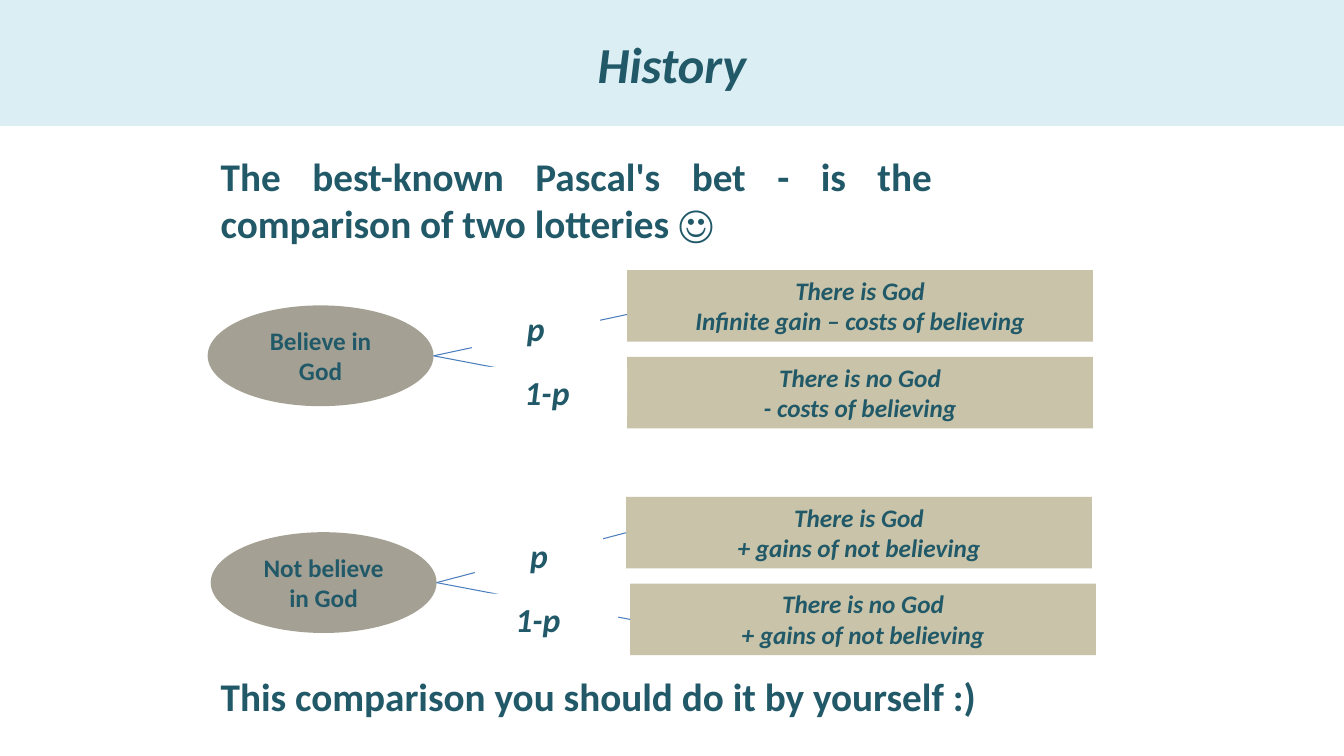
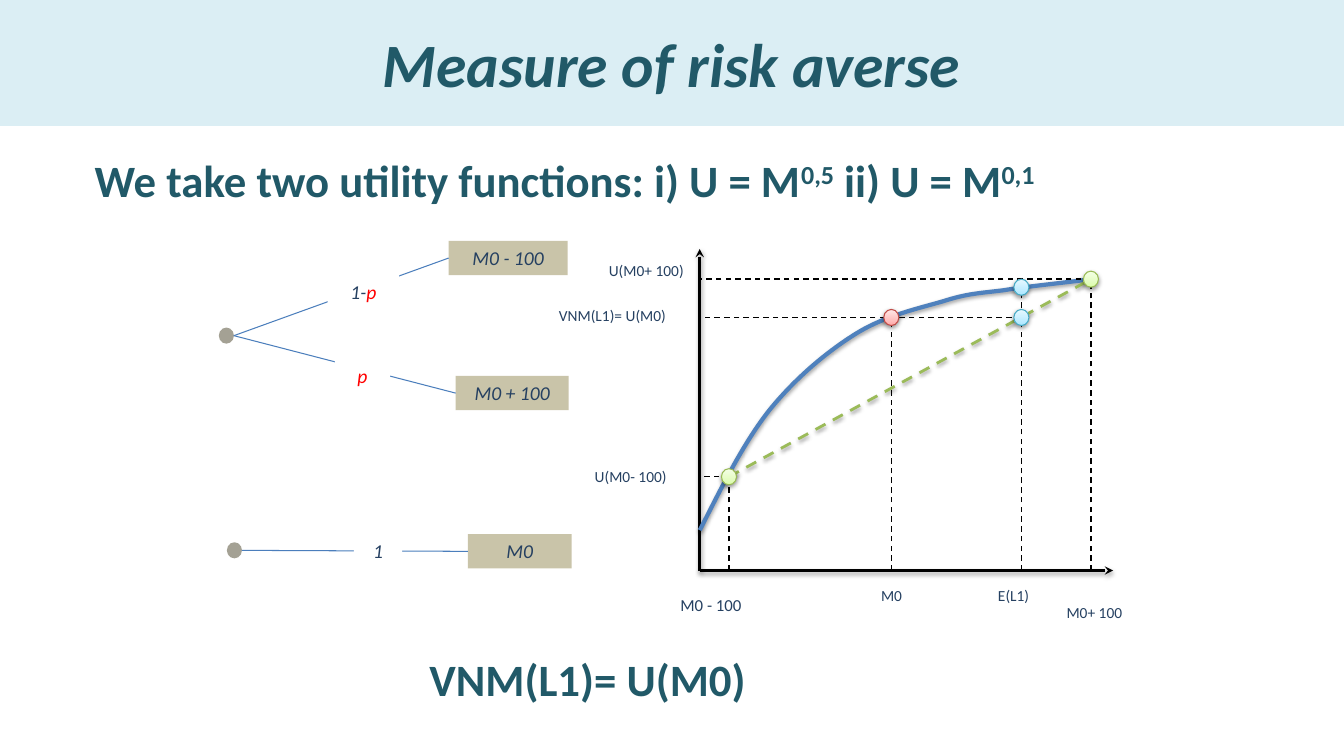
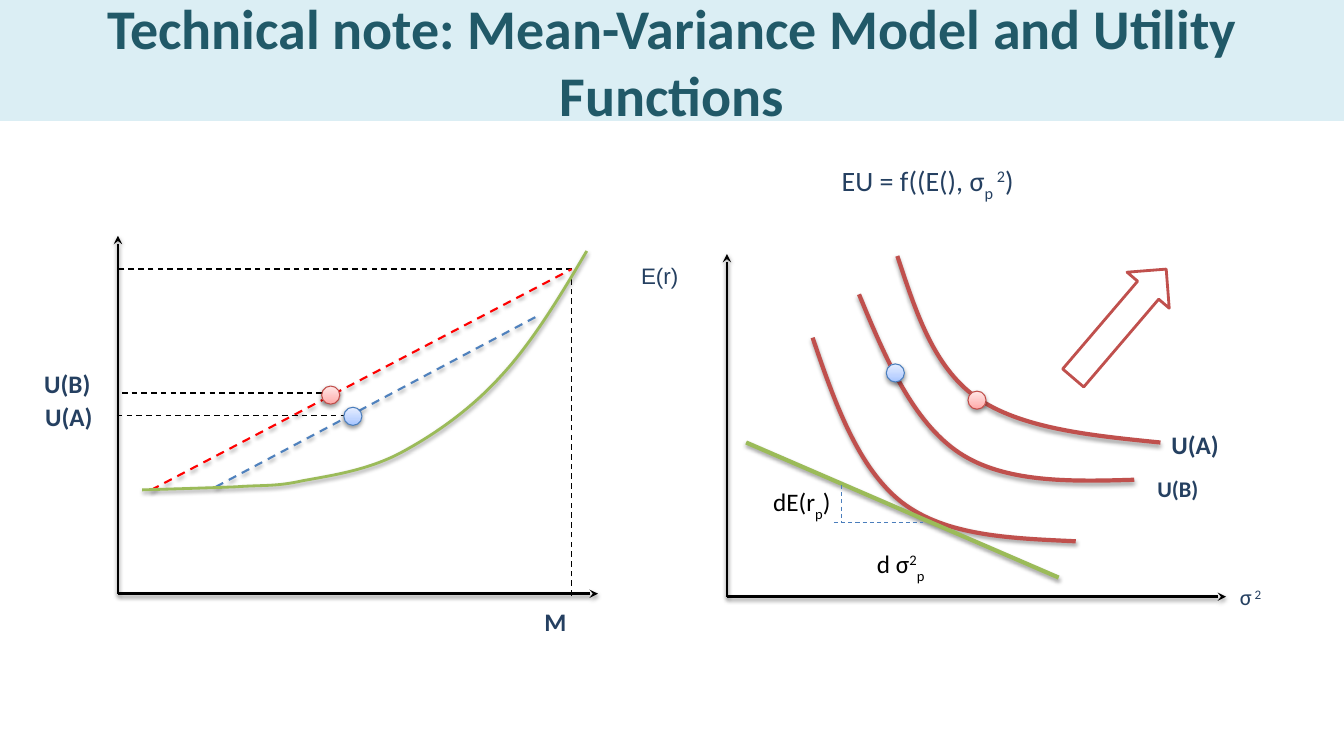
from copy import deepcopy
from dataclasses import dataclass

from lxml import etree
from pptx import Presentation
from pptx import util as u
from pptx.dml.color import RGBColor
from pptx.enum import dml, shapes, text
from pptx.oxml.ns import qn


@dataclass(frozen=True)
class Theme:
    font: str = "Calibri"
    sans: str = "Arial"
    band: str = "DBEEF4"
    teal: str = "215968"
    navy: str = "254061"
    black: str = "000000"
    white: str = "FFFFFF"
    red: str = "FF0000"
    brick: str = "C0504D"
    blue: str = "4F81BD"
    thin_blue: str = "4B7EBC"
    green: str = "9BBB59"
    hub: str = "4A452A"
    leaf: str = "948A54"
    tiny: int = 11
    note: int = 12
    small: int = 14
    label: int = 16
    body: int = 18
    formula: int = 20
    chance: int = 24
    lead: int = 28
    large: int = 32


T = Theme()
WIDTH, HEIGHT = 13.33, 7.5  # grid of one-inch columns and rows
ALIGN = {"l": text.PP_ALIGN.LEFT, "c": text.PP_ALIGN.CENTER, "j": text.PP_ALIGN.JUSTIFY}
RECT, OVAL = shapes.MSO_SHAPE.RECTANGLE, shapes.MSO_SHAPE.OVAL
UP, DOWN = {"base": 30}, {"base": -30}

# Line styles: colour, points, dashed, shadow, arrowhead
LINES = {
    "branch": (T.thin_blue, 0.75, False, False, False),
    "slope": (T.thin_blue, 0.75, True, False, False),
    "axis": (T.black, 2, False, True, True),
    "guide": (T.black, 1, True, False, False),
    "chord": (T.green, 2, True, True, False),
    "red chord": (T.red, 1.5, True, True, False),
    "blue chord": (T.blue, 1.5, True, True, False),
    "tangent": (T.green, 3, False, True, False),
    "utility": (T.blue, 3, False, True, False),
    "convex": (T.green, 2, False, True, False),
    "indifference": (T.brick, 3, False, True, False),
}
# Dot styles: edge, then gradient stops
DOTS = {
    "green": ("98B955", ("DAFDA7", "E4FCC2", "F5FFE7")),
    "red": ("BF4C48", ("FFA6A5", "FFC0BF", "FFE7E7")),
    "cyan": ("46AAC5", ("A7E6FF", "C1EDFF", "E7F8FF")),
    "blue": (T.thin_blue, ("A4C4FF", "BFD4FF", "E6EEFF")),
}
# Type styles: size, colour, bold, italic, alignment
TYPE = {
    "lead": (T.lead, T.teal, True, False, "l"),
    "justified": (T.lead, T.teal, True, False, "j"),
    "large": (T.large, T.teal, True, False, "l"),
    "result": (T.large, T.teal, True, False, "c"),
    "hub": (T.body, T.teal, True, False, "c"),
    "outcome": (T.body, T.teal, True, True, "c"),
    "chance": (T.chance, T.teal, True, True, "c"),
    "branch": (T.small, T.navy, False, True, "c"),
    "tiny": (T.tiny, T.navy, False, False, "l"),
    "tiny centred": (T.tiny, T.navy, False, False, "c"),
    "note": (T.note, T.navy, False, False, "l"),
    "axis": (T.label, T.navy, False, False, "l"),
    "formula": (T.formula, T.navy, False, False, "l"),
    "slope": (T.body, T.black, False, False, "l"),
    "level": (T.body, T.navy, True, False, "l"),
    "small level": (T.label, T.navy, True, False, "l"),
}

# ---- Slide 1 content: two lotteries
LOTTERIES = [
    dict(top=2.68, hub_x=2.06, hub="Believe in God", p_x=4.68, q_x=4.63, leaves=[
        (6.22, ["There is God", "Infinite gain – costs of believing"], 3.12),
        (6.22, ["There is no God", "- costs of believing"], None)]),
    dict(top=4.93, hub_x=2.09, hub="Not believe in God", p_x=4.71, q_x=4.54, leaves=[
        (6.21, ["There is God", "+ gains of not believing"], None),
        (6.25, ["There is no God", "+ gains of not believing"], None)]),
]
HISTORY_TEXT = [
    ((2.09, 1.46, 7.25, 1.04), "justified",
     ["The best-known Pascal's bet - is the comparison of two lotteries ☺"]),
    ((2.09, 6.62, 7.86, 0.57), "lead", ["This comparison you should do it by yourself :)"]),
]

# ---- Slide 2 content: a risky and a sure lottery, and the utility chart
SMALL_TREES = [
    ((2.17, 3.25), [((4.45, 2.39, 1.18, 0.34), "M0 - 100"), ((4.52, 3.73, 1.12, 0.34), "M0 + 100")],
     [((3.32, 3.56, 0.55, 0.34), [("p", {"color": T.red})]),
      ((3.25, 2.73, 0.71, 0.34), ["1-", ("p", {"color": T.red})])]),
    ((2.25, 5.38), [((4.64, 5.3, 1.03, 0.34), "M0")], [((3.51, 5.3, 0.48, 0.34), ["1"])]),
]
ORIGIN, LOW, SURE, MEAN, HIGH = (6.94, 5.66), (7.23, 4.73), (8.84, 3.15), (10.13, 3.15), (10.82, 2.77)
MEAN_UTILITY = (MEAN[0], 2.85)
UTILITY = [(6.94, 5.26), (7.16, 4.83), (7.37, 4.4), (7.63, 4.07), (7.89, 3.75), (8.2, 3.49),
           (8.49, 3.31), (8.78, 3.13), (9.11, 3.06), (9.35, 2.99), (9.6, 2.91), (9.71, 2.91),
           (9.95, 2.88), (10.2, 2.84), (10.51, 2.81), HIGH]
RISK_TEXT = [
    ((0.84, 1.47, 10.16, 0.64), "large",
     ["We take two utility functions: i) U = M", ("0,5", UP), " ii) U = M", ("0,1", UP)]),
    ((10.48, 5.93, 1.1, 0.29), "tiny", ["M0+ 100"]),
    ((5.94, 2.54, 1.29, 0.29), "tiny", ["U(M0+ 100)"]),
    ((5.8, 4.58, 1.08, 0.28), "tiny", ["U(M0- 100)"]),
    ((5.33, 2.99, 1.49, 0.29), "tiny centred", ["VNM(L1)= U(M0)"]),
    ((8.64, 5.77, 0.58, 0.29), "tiny", ["M0"]),
    ((9.8, 5.77, 0.83, 0.29), "tiny", ["E(L1)"]),
    ((6.65, 5.85, 1.34, 0.3), "note", ["M0 - 100"]),
    ((3.26, 6.42, 5.14, 0.64), "result", ["VNM(L1)= U(M0)"]),
]

# ---- Slide 3 content: convex utility and indifference curves
CONVEX = [(5.82, 2.49), (5.55, 2.95), (5.27, 3.41), (4.96, 3.74), (4.65, 4.08), (4.28, 4.33),
          (3.96, 4.5), (3.63, 4.67), (3.27, 4.72), (3, 4.77), (2.73, 4.83), (2.61, 4.81),
          (2.34, 4.83), (2.08, 4.84), (1.75, 4.85), (1.41, 4.86)]
INDIFFERENCE = [
    [(8.06, 3.35), (8.28, 4), (8.51, 4.64), (8.94, 4.98), (9.38, 5.32), (10.02, 5.34), (10.67, 5.37)],
    [(8.52, 2.92), (8.78, 3.55), (9.05, 4.18), (9.51, 4.49), (9.96, 4.79), (10.61, 4.78), (11.25, 4.76)],
    [(8.9, 2.54), (9.08, 3.08), (9.25, 3.63), (9.68, 3.94), (10.12, 4.25), (10.81, 4.32), (11.51, 4.39)],
]
MODEL_LINES = [
    ("tangent", (7.4, 4.39), (10.5, 5.73)),
    ("slope", (8.27, 5.18), (9.15, 5.18)),
    ("slope", (8.35, 4.81), (8.35, 5.18)),
    ("blue chord", (2.14, 4.83), (5.36, 3.12)),
    ("guide", (5.67, 5.91), (5.67, 2.76)),
    ("guide", (5.67, 2.67), (1.17, 2.67)),
    ("red chord", (1.5, 4.86), (5.67, 2.67)),
    ("guide", (1.21, 3.9), (3.19, 3.9)),
    ("guide", (1.16, 4.12), (3.42, 4.12)),
]
MODEL_DOTS = [("red", (9.69, 3.97)), ("blue", (8.88, 3.7)), ("red", (3.28, 3.92)), ("blue", (3.5, 4.13))]
MODEL_TEXT = [
    ((12.2, 5.74, 0.53, 0.38), "axis", ["σ", (" 2", UP)]),
    ((6.26, 2.55, 0.65, 0.38), "axis", [("E(r)", {"font": T.sans})]),
    ((8.25, 1.57, 2.87, 0.44), "formula", ["EU = f((E(), σ", ("p", DOWN), (" 2", UP), ")"]),
    ((7.57, 4.78, 0.97, 0.4), "slope", ["dE(r", ("p", DOWN), ")"]),
    ((8.6, 5.39, 0.87, 0.4), "slope", ["d σ", ("2", UP), ("p", DOWN)]),
    ((11.38, 4.66, 0.87, 0.37), "small level", ["U(B)"]),
    ((11.52, 4.21, 0.88, 0.4), "level", ["U(A)"]),
    ((0.35, 3.93, 0.88, 0.4), "level", ["U(A)"]),
    ((0.34, 3.61, 1.34, 0.4), "level", ["U(B)"]),
    ((5.3, 5.97, 0.55, 0.4), "level", ["M"]),
]


# ---- Drawing helpers
def grid(values):
    return [u.Inches(value) for value in values]


def rgb(colour):
    return RGBColor.from_string(colour)


def finish(shape, shaded=False):
    """Set the effect list last, after fill and line."""
    effects = etree.SubElement(shape._element.spPr, qn("a:effectLst"))
    if shaded:
        shadow = etree.SubElement(effects, qn("a:outerShdw"), blurRad=str(u.Pt(3.1)),
                                  dist=str(u.Pt(1.6)), dir="5400000", rotWithShape="0")
        colour = etree.SubElement(shadow, qn("a:srgbClr"), val=T.black)
        etree.SubElement(colour, qn("a:alpha"), val="38000")


def write(shape, paragraphs, style, middle=False):
    size, colour, bold, italic, align = style
    frame = shape.text_frame
    frame.word_wrap = True
    frame.vertical_anchor = text.MSO_ANCHOR.MIDDLE if middle else text.MSO_ANCHOR.TOP
    for index, runs in enumerate(paragraphs):
        para = frame.add_paragraph() if index else frame.paragraphs[0]
        para.alignment = ALIGN[align]
        for item in runs:
            words, extra = (item, {}) if isinstance(item, str) else item
            span = para.add_run()
            span.text = words
            font = span.font
            font.name, font.size = extra.get("font", T.font), u.Pt(size)
            font.bold, font.italic = bold, italic
            font.color.rgb = rgb(extra.get("color", colour))
            if "base" in extra:
                span._r.get_or_add_rPr().set("baseline", str(extra["base"] * 1000))


def add_box(page, at, fill, kind=RECT, half=False):
    box = page.shapes.add_shape(kind, *grid(at))
    box.fill.solid()
    box.fill.fore_color.rgb = rgb(fill)
    if half:
        colour = box._element.spPr.find(".//" + qn("a:srgbClr"))
        etree.SubElement(colour, qn("a:alpha"), val="50000")
    box.line.fill.background()
    finish(box)
    return box


def add_labels(page, labels):
    for at, style, runs in labels:
        write(page.shapes.add_textbox(*grid(at)), [runs], TYPE[style])


def style_line(shape, style):
    colour, points, dashed, shaded, arrow = LINES[style]
    shape.line.color.rgb = rgb(colour)
    shape.line.width = u.Pt(points)
    if dashed:
        shape.line.dash_style = dml.MSO_LINE.DASH
    if arrow:
        etree.SubElement(shape._element.spPr.find(qn("a:ln")), qn("a:tailEnd"), type="stealth")
    finish(shape, shaded)


def add_line(page, style, start, end):
    line = page.shapes.add_connector(shapes.MSO_CONNECTOR.STRAIGHT, *grid(start + end))
    style_line(line, style)
    return line


def add_axes(page, origin, top, right):
    add_line(page, "axis", origin, (origin[0], top))
    add_line(page, "axis", origin, (right, origin[1]))


def add_curve(page, style, points):
    """Draw a chain of cubic curves: a start, then two handles and an end each."""
    start, *rest = [tuple(grid(point)) for point in points]
    builder = page.shapes.build_freeform(*start, scale=1.0)
    builder.add_line_segments(rest, close=False)
    curve = builder.convert_to_shape()
    curve.fill.background()
    steps = curve._element.spPr.findall(".//" + qn("a:lnTo"))
    for first in range(0, len(steps), 3):
        cubic = etree.Element(qn("a:cubicBezTo"))
        steps[first].addprevious(cubic)
        for step in steps[first:first + 3]:
            cubic.append(step[0])
            step.getparent().remove(step)
    style_line(curve, style)


def add_dot(page, style, centre, width, height):
    edge, colours = DOTS[style]
    at = (centre[0] - width / 2, centre[1] - height / 2, width, height)
    dot = page.shapes.add_shape(OVAL, *grid(at))
    dot.fill.gradient()
    dot.fill.gradient_angle = 90
    stops = dot._element.spPr.find(".//" + qn("a:gsLst"))
    stops.insert(1, deepcopy(stops[0]))
    for stop, position, colour in zip(dot.fill.gradient_stops, (0, 0.35, 1), colours):
        stop.position = position
        stop.color.rgb = rgb(colour)
    dot.line.color.rgb = rgb(edge)
    dot.line.width = u.Pt(0.75)
    finish(dot, True)


def add_tree(page, hub, leaves, chances, leaf_type, chance_type):
    """Hub, outcome boxes, branches, then chances laid over the branches."""
    x, y, width, height = hub
    node = add_box(page, hub, T.hub, OVAL, half=True)
    for at, paragraphs, end_y in leaves:
        leaf = add_box(page, at, T.leaf, half=True)
        write(leaf, paragraphs, TYPE[leaf_type])
        end = (at[0], end_y or at[1] + at[3] / 2)
        branch = add_line(page, "branch", (x + width, y + height / 2), end)
        if end_y is None:
            branch.end_connect(leaf, 1)
    for at, runs in chances:
        write(add_box(page, at, T.white), [runs], TYPE[chance_type])
    return node


def add_page(deck, title, size, italic=True, band=1.25):
    page = deck.slides.add_slide(deck.slide_layouts[6])
    box = add_box(page, (0, 0, WIDTH, band), T.band)
    write(box, [[title]], (size, T.teal, True, italic, "c"), middle=True)
    return page


# ---- Slides
def history(deck):
    page = add_page(deck, "History", 36)
    for lottery in LOTTERIES:
        top = lottery["top"]
        leaves = [((x, top + row * 0.86, 4.62, 0.71), [[words] for words in lines], end_y)
                  for row, (x, lines, end_y) in enumerate(lottery["leaves"])]
        chances = [((lottery["q_x"], top + 0.96, 1.59, 0.5), ["1-p"]),
                   ((lottery["p_x"], top + 0.33, 1.27, 0.5), ["p"])]
        hub = (lottery["hub_x"], top + 0.35, 2.24, 1)
        node = add_tree(page, hub, leaves, chances, "outcome", "chance")
        write(node, [[lottery["hub"]]], TYPE["hub"], middle=True)
    add_labels(page, HISTORY_TEXT)


def risk(deck):
    page = add_page(deck, "Measure of risk averse", 44)
    for corner, outcomes, chances in SMALL_TREES:
        leaves = [(at, [[words]], None) for at, words in outcomes]
        add_tree(page, corner + (0.15, 0.16), leaves, chances, "branch", "branch")
    add_axes(page, ORIGIN, 2.47, 11.04)
    add_curve(page, "utility", UTILITY)
    for point in (LOW, SURE, MEAN_UTILITY, HIGH):
        add_line(page, "guide", (point[0], ORIGIN[1]), point)
    for point in (LOW, MEAN, HIGH):
        add_line(page, "guide", point, (ORIGIN[0], point[1]))
    add_line(page, "chord", LOW, HIGH)
    for style, point in (("green", LOW), ("green", HIGH), ("red", SURE),
                         ("cyan", MEAN), ("cyan", MEAN_UTILITY)):
        add_dot(page, style, point, 0.15, 0.16)
    add_labels(page, RISK_TEXT)


def model(deck):
    page = add_page(deck, "Technical note: Mean-Variance Model and Utility Functions", 40,
                    italic=False, band=1.2)
    add_axes(page, (7.21, 5.92), 2.52, 12.16)
    add_axes(page, (1.17, 5.89), 2.34, 5.93)
    for points in INDIFFERENCE:
        add_curve(page, "indifference", points)
    for style, start, end in MODEL_LINES:
        add_line(page, style, start, end)
    add_curve(page, "convex", CONVEX)
    arrow = add_box(page, (10.83, 2.5, 0.55, 1.42), T.white, shapes.MSO_SHAPE.DOWN_ARROW)
    arrow.rotation = 220.5
    arrow.line.color.rgb = rgb(T.brick)
    arrow.line.width = u.Pt(2)
    for style, centre in MODEL_DOTS:
        add_dot(page, style, centre, 0.18, 0.18)
    add_labels(page, MODEL_TEXT)


def main():
    deck = Presentation()
    deck.slide_width, deck.slide_height = grid((WIDTH, HEIGHT))
    for build in (history, risk, model):
        build(deck)
    deck.save("out.pptx")


if __name__ == "__main__":
    main()
